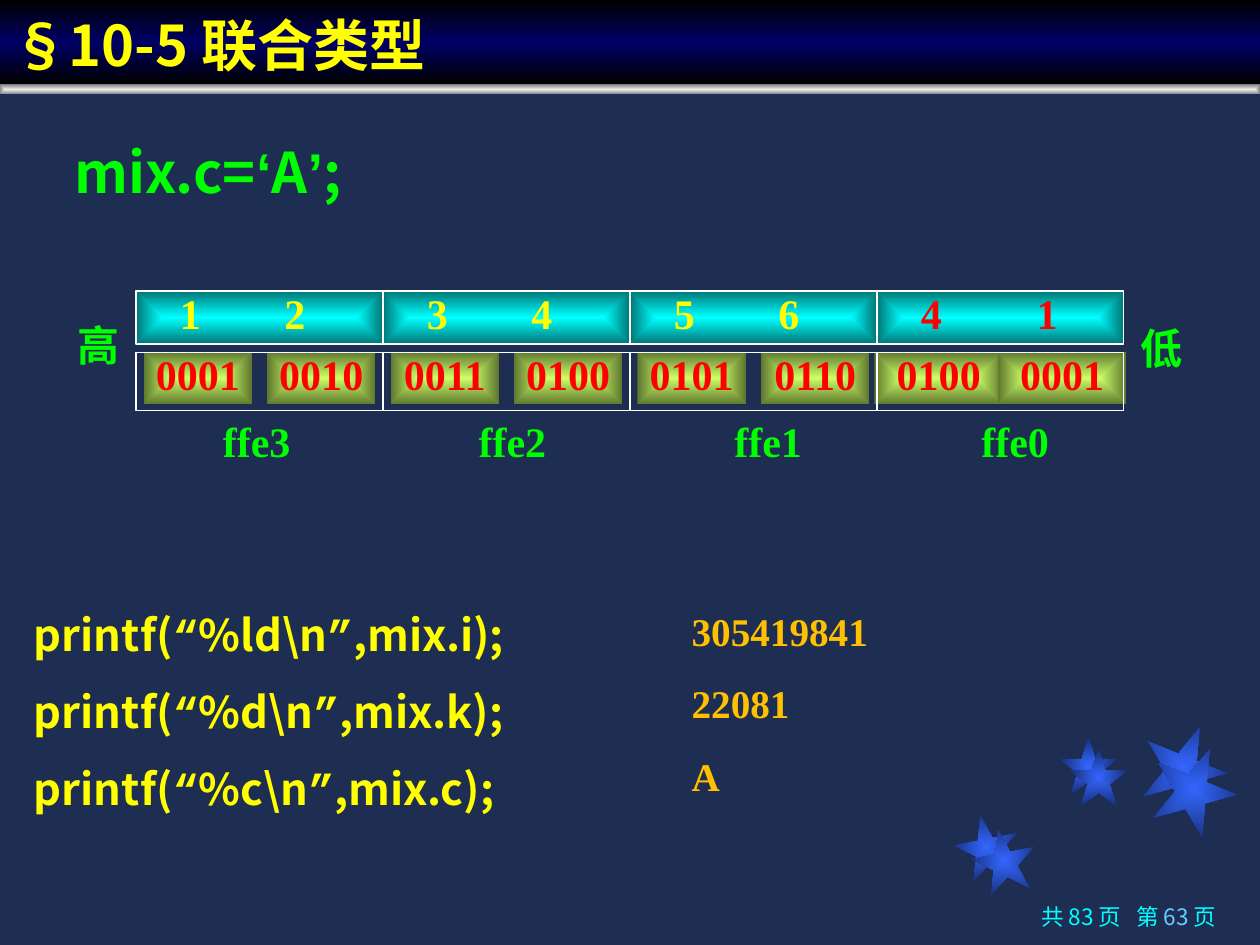
from dataclasses import dataclass

from pptx import Presentation
from pptx.dml.color import RGBColor
from pptx.enum.shapes import MSO_SHAPE
from pptx.enum.text import MSO_ANCHOR, PP_ALIGN
from pptx.oxml import parse_xml
from pptx.util import Inches, Pt

RECT, STAR = MSO_SHAPE.RECTANGLE, MSO_SHAPE.STAR_5_POINT
TOP, BOTTOM = MSO_ANCHOR.TOP, MSO_ANCHOR.BOTTOM
LEFT, CENTER, RIGHT, JUSTIFY = (
    PP_ALIGN.LEFT, PP_ALIGN.CENTER, PP_ALIGN.RIGHT, PP_ALIGN.JUSTIFY)
NS = 'xmlns:a="http://schemas.openxmlformats.org/drawingml/2006/main"'


@dataclass(frozen=True)
class Theme:
    back: str = "1E2E53"
    yellow: str = "FFFF00"
    green: str = "00FF00"
    red: str = "FF0000"
    amber: str = "FFC000"
    aqua: str = "00FFFF"
    sky: str = "66CCFF"
    white: str = "FFFFFF"
    star: tuple = ("3366FF", "182F76")
    bar: tuple = ("EDEDED", "808080")
    banner: tuple = ("000000", "000066", "000000")
    byte: tuple = ("00FFFF", "007676")
    nibble: tuple = ("CCFF66", "5E762F")
    sans: str = "Noto Sans CJK SC"
    serif: str = "Times New Roman"
    mono: str = "Courier New"
    arial: str = "Arial"
    title: float = 32
    cell: float = 24
    code: float = 24.8
    result: float = 22.4
    footer: float = 12.9


T = Theme()

# Memory grid: four bytes, each split into two nibbles
W, H = 10, 7.5
GRID_X, BYTE_W = 1.08, 1.96
NIBBLE_W = BYTE_W / 2
BYTE_Y, NIBBLE_Y, CELL_H = 2.31, 2.79, 0.42
BYTES = ["12", "34", "56", "41"]
LINE_CODES = [("%ld", "i"), ("%d", "k"), ("%c", "c")]
STARS = [(7.58, 6.47, 0.5, 349), (8.41, 5.85, 0.46, 0), (9.06, 5.75, 0.67, 22),
         (7.72, 6.58, 0.5, 349), (8.49, 5.94, 0.46, 0), (9.14, 5.92, 0.67, 22)]


def set_gradient(sp, colors, linear=False):
    last = len(colors) - 1
    stops = "".join(
        f'<a:gs pos="{100000 * i // last}"><a:srgbClr val="{c}"/></a:gs>'
        for i, c in enumerate(colors))
    way = ('<a:lin ang="5400000" scaled="0"/>' if linear else
           '<a:path path="rect"><a:fillToRect l="50000" t="50000" '
           'r="50000" b="50000"/></a:path>')
    grad = parse_xml(f'<a:gradFill {NS} rotWithShape="1">'
                     f'<a:gsLst>{stops}</a:gsLst>{way}</a:gradFill>')
    sp._element.spPr.insert(2, grad)


def add_block(slide, x, y, w, h, colors=None, kind=RECT, line=None,
              linear=False, rotation=0):
    sp = slide.shapes.add_shape(kind, Inches(x), Inches(y), Inches(w), Inches(h))
    sp.shadow.inherit = False
    sp.rotation = rotation
    if colors:
        set_gradient(sp, colors, linear)
    else:
        sp.fill.background()
    if line:
        sp.line.color.rgb = RGBColor.from_string(line)
        sp.line.width = Pt(0.75)
    else:
        sp.line.fill.background()
    return sp


def add_box(slide, x, y, w, h):
    return slide.shapes.add_textbox(Inches(x), Inches(y), Inches(w), Inches(h))


def add_run(p, text, size, color, font, bold, spread=0):
    r = p.add_run()
    r.text = text
    r.font.size, r.font.bold, r.font.name = Pt(size), bold, font
    r.font.color.rgb = RGBColor.from_string(color)
    props = r._r.get_or_add_rPr()
    props.append(parse_xml(f'<a:ea {NS} typeface="{T.sans}"/>'))
    if spread:
        props.set("spc", str(spread))


def write(sp, paragraphs, size=T.cell, color=T.yellow, font=T.serif, bold=True,
          align=LEFT, anchor=TOP, wrap=True, spacing=None, before=0,
          indent=0, tabs=()):
    """Each paragraph is a string or a list of (text, format changes) runs."""
    tf = sp.text_frame
    tf.word_wrap, tf.vertical_anchor = wrap, anchor
    for i, runs in enumerate(paragraphs):
        p = tf.add_paragraph() if i else tf.paragraphs[0]
        p.alignment = align
        if spacing:
            p.line_spacing = spacing
        if i and before:
            p.space_before = Pt(before)
        props = p._p.get_or_add_pPr()
        if indent:
            props.set("marL", str(Inches(indent)))
        if tabs:
            stops = "".join(f'<a:tab pos="{Inches(t)}" algn="l"/>' for t in tabs)
            props.append(parse_xml(f"<a:tabLst {NS}>{stops}</a:tabLst>"))
        for text, change in ([(runs, {})] if isinstance(runs, str) else runs):
            look = dict(size=size, color=color, font=font, bold=bold) | change
            add_run(p, text, **look)


def draw_frame(slide):
    for x, y, size, turn in STARS:
        add_block(slide, x, y, size, size, T.star, kind=STAR, rotation=turn)
    add_block(slide, 0, 0.67, W, 0.08, T.bar)
    banner = add_block(slide, 0, 0, W, 0.67, T.banner, linear=True)
    write(banner, ["§10-5 联合类型"], size=T.title, font=T.sans, anchor=BOTTOM)


def draw_memory(slide):
    # Hexadecimal digits
    for i, (high, low) in enumerate(BYTES):
        changed = i == len(BYTES) - 1
        sp = add_block(slide, GRID_X + i * BYTE_W, BYTE_Y, BYTE_W, CELL_H,
                       T.byte, line=T.white)
        write(sp, [f"\t{high}\t{low}"], color=T.red if changed else T.yellow,
              spacing=0.8, tabs=(0.25, 1.17 if changed else 1.08))
    # Binary nibbles; those of the changed byte fill their columns
    for i, digit in enumerate("".join(BYTES)):
        pad = 0.06 if i < 6 else -0.02
        sp = add_block(slide, GRID_X + i * NIBBLE_W + pad, NIBBLE_Y,
                       NIBBLE_W - 2 * pad, CELL_H, T.nibble)
        write(sp, [f"{int(digit):04b}"], color=T.red, align=CENTER,
              wrap=i >= 6, spacing=0.8)
    # Byte outlines
    for i in range(len(BYTES)):
        add_block(slide, GRID_X + i * BYTE_W, NIBBLE_Y + 0.01, BYTE_W, 0.46,
                  line=T.white)
    # Ends and addresses
    for text, x, y in (("低", 8.95, 2.51), ("高", 0.52, 2.49)):
        write(add_box(slide, x, y, 0.53, 0.5), [text], color=T.green,
              align=CENTER, wrap=False)
    write(add_box(slide, 1.67, 3.25, 6.92, 0.5), ["ffe3\tffe2\tffe1\tffe0"],
          color=T.green, tabs=(2.03, 4.06, 6.02))


def draw_code(slide):
    quote, mono = {"font": T.arial}, {"font": T.mono}
    write(add_box(slide, 0.29, 1.04, 9.46, 0.79),
          [[("mix.c=", {}), ("‘", quote), ("A", {}), ("’", quote), (";", {})]],
          size=T.title, color=T.green, font=T.sans, indent=0.2)
    calls = [[("printf(", {}), ("“", mono), (f"{code}\\n", {}), ("”", mono),
              (f",mix.{member});", {})] for code, member in LINE_CODES]
    write(add_box(slide, 0.17, 4.86, 5.49, 1.89), calls, size=T.code,
          font=T.sans, align=JUSTIFY, spacing=0.8, before=20)
    write(add_box(slide, 5.39, 4.84, 3.35, 1.75), ["305419841", "22081", "A"],
          size=T.result, color=T.amber, align=JUSTIFY, spacing=0.8, before=20)


def draw_footer(slide):
    write(add_box(slide, 7.12, 7.14, 2.63, 0.36),
          [[("共 83 页", {}), (" ", {"spread": 580}), ("第 ", {}),
            ("63 ", {"color": T.sky}), ("页", {})]],
          size=T.footer, color=T.aqua, font=T.sans, bold=False,
          align=RIGHT, spacing=0.9)


def main():
    prs = Presentation()
    prs.slide_width, prs.slide_height = Inches(W), Inches(H)
    slide = prs.slides.add_slide(prs.slide_layouts[6])
    slide.background.fill.solid()
    slide.background.fill.fore_color.rgb = RGBColor.from_string(T.back)
    draw_frame(slide)
    draw_memory(slide)
    draw_code(slide)
    draw_footer(slide)
    prs.save("out.pptx")


if __name__ == "__main__":
    main()
